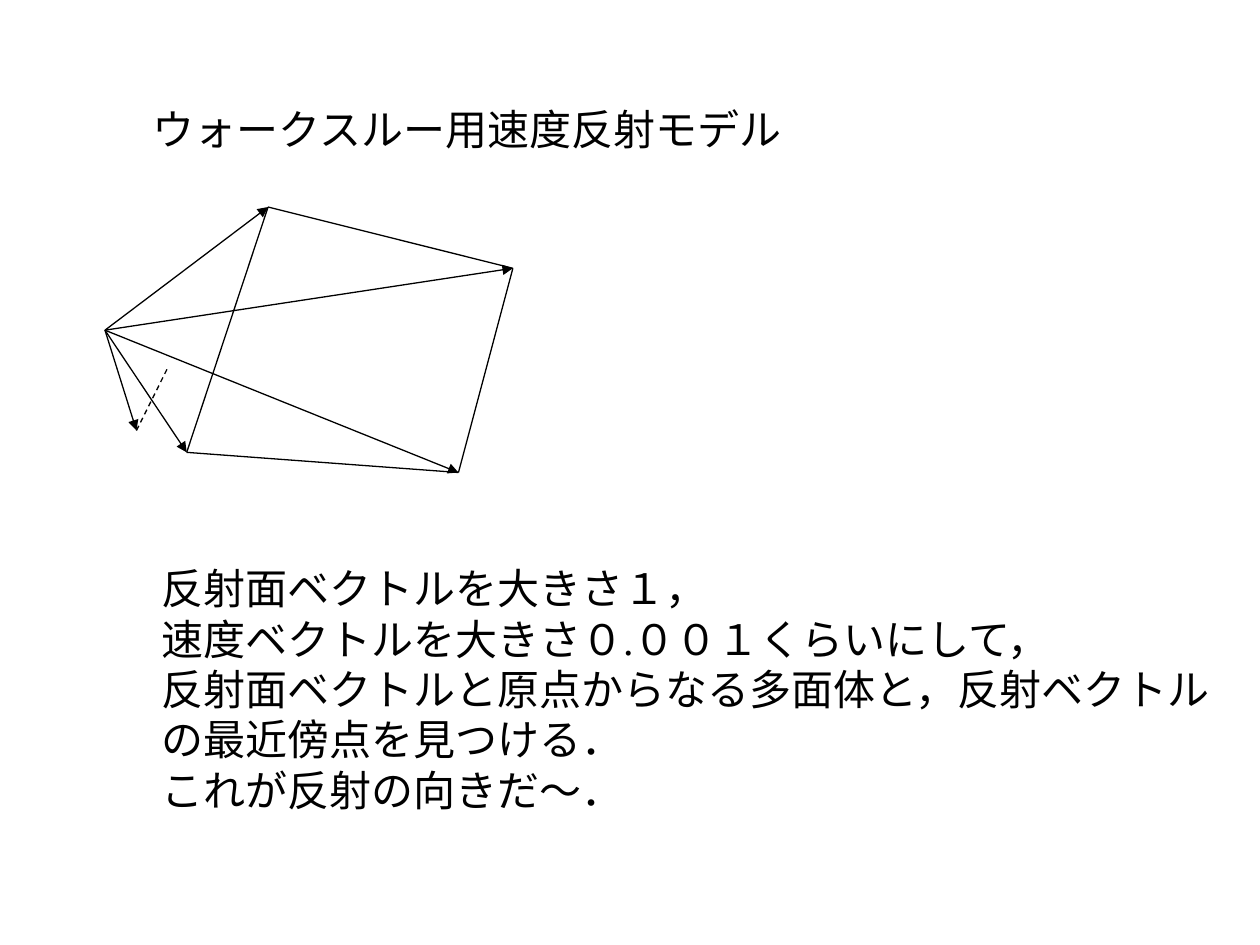
from lxml import etree
from pptx import Presentation
from pptx.dml.color import RGBColor
from pptx.enum import dml, shapes, text
from pptx.oxml import ns
from pptx.util import Pt

BLACK = RGBColor(0, 0, 0)
WHITE = RGBColor(255, 255, 255)

# Points of the diagram, in points from the slide's top left corner
ORIGIN = (60, 188.7)
TOP_LEFT = (153.2, 118.3)
TOP_RIGHT = (293.1, 153.3)
BOTTOM_RIGHT = (262, 270)
BOTTOM_LEFT = (106.7, 258.5)
VELOCITY = (78, 246)
NEAREST = (95.7, 210.5)

CORNERS = [TOP_LEFT, TOP_RIGHT, BOTTOM_RIGHT, BOTTOM_LEFT]

TITLE = "ウォークスルー用速度反射モデル"
EXPLANATION = [
    "反射面ベクトルを大きさ１，",
    "速度ベクトルを大きさ０.００１くらいにして，",
    "反射面ベクトルと原点からなる多面体と，反射ベクトル",
    "の最近傍点を見つける．",
    "これが反射の向きだ～．",
]


class SlideBuilder:
    font_name = "Times New Roman"
    font_size = Pt(24)
    line_width = Pt(0.75)

    def __init__(self, s):
        self.s = s
        s.background.fill.solid()
        s.background.fill.fore_color.rgb = WHITE

    def line(self, start, end, arrow=False, dashed=False):
        cx = self.s.shapes.add_connector(
            shapes.MSO_CONNECTOR.STRAIGHT, *(Pt(v) for v in start + end))
        cx.line.color.rgb = BLACK
        cx.line.width = self.line_width
        if dashed:
            cx.line.dash_style = dml.MSO_LINE.DASH
        sp_pr = cx._element.spPr
        if arrow:
            ln = sp_pr.find(ns.qn("a:ln"))
            etree.SubElement(ln, ns.qn("a:tailEnd"), type="triangle")
        etree.SubElement(sp_pr, ns.qn("a:effectLst"))

    def title(self, line, *box):
        sp = self.s.shapes.title
        sp.left, sp.top, sp.width, sp.height = (Pt(v) for v in box)
        self.fill_text(sp.text_frame, [line])

    def text_box(self, lines, *box):
        sp = self.s.shapes.add_textbox(*(Pt(v) for v in box))
        self.fill_text(sp.text_frame, lines)

    def fill_text(self, tf, lines):
        tf.word_wrap = False
        tf.auto_size = text.MSO_AUTO_SIZE.NONE
        tf.vertical_anchor = text.MSO_ANCHOR.TOP
        tf.text = "\n".join(lines)
        for p in tf.paragraphs:
            p.alignment = text.PP_ALIGN.LEFT
            p.font.name = self.font_name
            p.font.size = self.font_size
            p.font.color.rgb = BLACK


def main():
    prs = Presentation()
    prs.slide_width, prs.slide_height = Pt(720), Pt(540)
    title_only = prs.slide_layouts[5]
    b = SlideBuilder(prs.slides.add_slide(title_only))

    b.title(TITLE, 80, 55.6, 374.4, 36)
    for corner in CORNERS:
        b.line(ORIGIN, corner, arrow=True)
    for corner, following in zip(CORNERS, CORNERS[1:] + CORNERS[:1]):
        b.line(corner, following)
    b.line(ORIGIN, VELOCITY, arrow=True)
    b.line(VELOCITY, NEAREST, dashed=True)
    b.text_box(EXPLANATION, 85, 318, 614.4, 151.2)

    prs.save("out.pptx")


if __name__ == "__main__":
    main()
